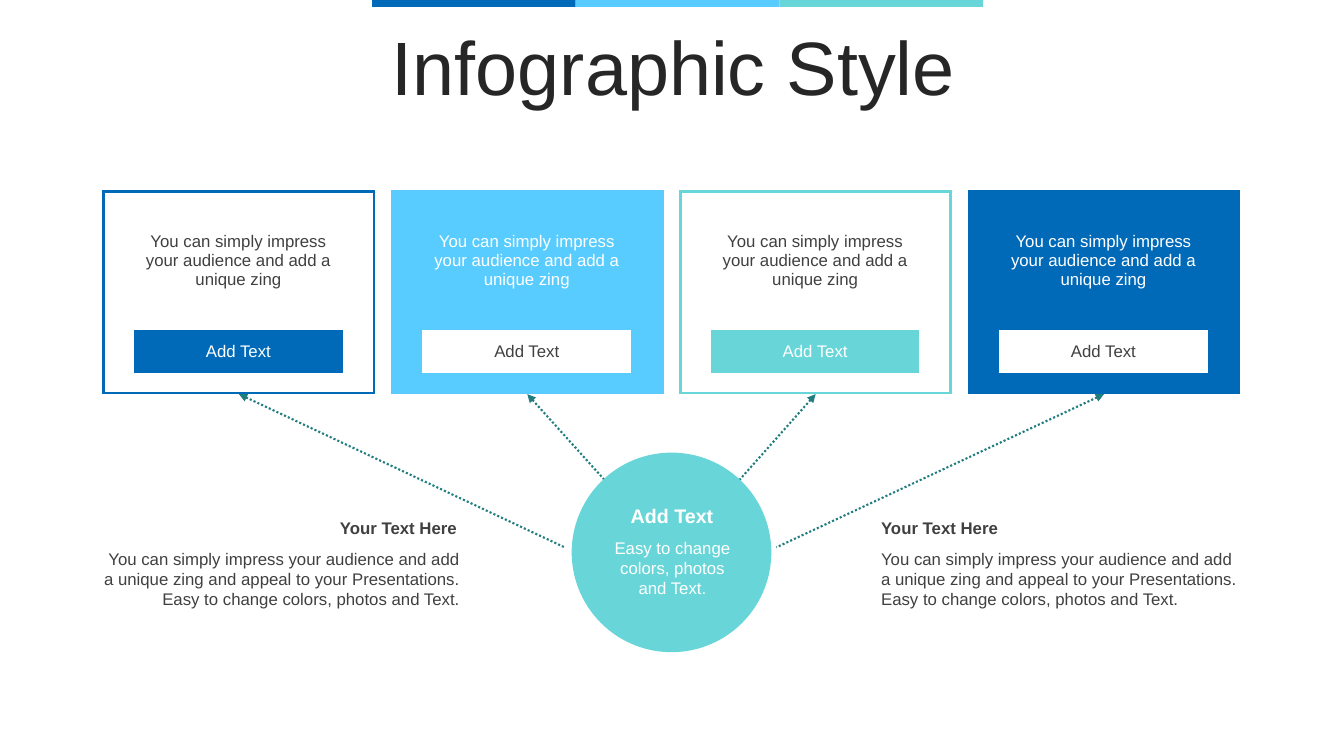
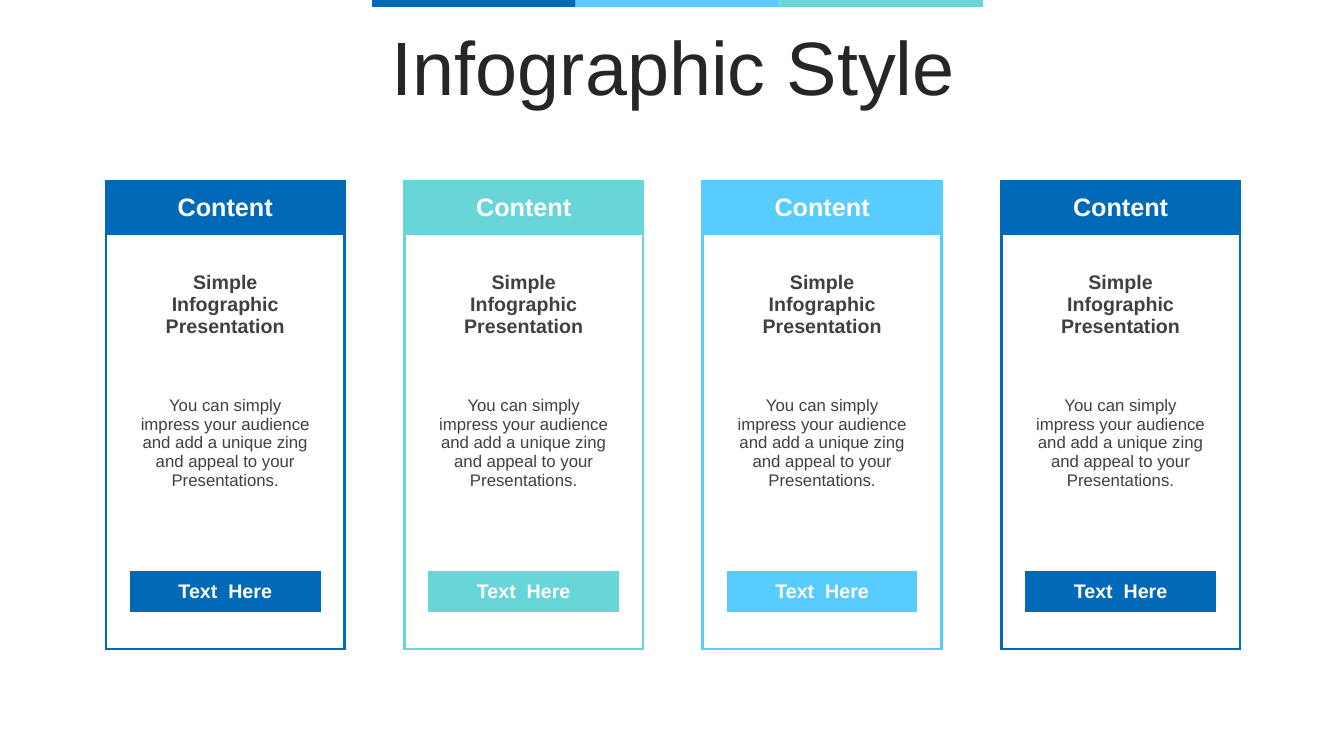
"""Build two infographic slides made of card tables."""
from dataclasses import dataclass

from lxml import etree
from pptx import Presentation
from pptx.dml.color import RGBColor
from pptx.enum.dml import MSO_LINE
from pptx.enum.shapes import MSO_CONNECTOR, MSO_SHAPE
from pptx.enum.text import MSO_ANCHOR, PP_ALIGN
from pptx.oxml.ns import qn
from pptx.util import Inches, Pt

LEFT, CENTER, RIGHT = PP_ALIGN.LEFT, PP_ALIGN.CENTER, PP_ALIGN.RIGHT
TOP, MIDDLE = MSO_ANCHOR.TOP, MSO_ANCHOR.MIDDLE
RECTANGLE, OVAL = MSO_SHAPE.RECTANGLE, MSO_SHAPE.OVAL
STRAIGHT = MSO_CONNECTOR.STRAIGHT
DOTTED = MSO_LINE.ROUND_DOT
NO_TABLE_STYLE = "{2D5ABB26-0587-4C30-8999-92F81FD0307C}"


@dataclass(frozen=True)
class Theme:
    """Colours, font and type sizes shared by the slides."""

    blue: str = "006AB8"
    sky: str = "58CCFE"
    teal: str = "68D6D8"
    deep_teal: str = "217D7F"
    white: str = "FFFFFF"
    ink: str = "262626"
    gray: str = "404040"
    font: str = "Arial"
    title: int = 54
    header: int = 18
    subhead: int = 14
    body: int = 12
    border: float = 2.25
    arrow: float = 1.5


THEME = Theme()


@dataclass
class CardRow:
    """One row of a card: a middle cell between two side cells."""

    height: float
    fill: str
    side_fill: str
    text: str = ""
    size: int = THEME.body
    color: str = THEME.gray
    bold: bool = False
    span: int = 1
    margin_top: float = 0.05


def write_text(frame, text, size=THEME.body, color=THEME.gray, bold=False,
               align=LEFT, line_spacing=None):
    """Write one formatted paragraph into a text frame."""
    paragraph = frame.paragraphs[0]
    paragraph.alignment = align
    paragraph.line_spacing = line_spacing
    run = paragraph.add_run()
    run.text = text
    run.font.name = THEME.font
    run.font.size = Pt(size)
    run.font.bold = bold
    run.font.color.rgb = RGBColor.from_string(color)


def add_text(slide, left, top, width, height, text, anchor=TOP, **text_format):
    """Add a wrapping text box."""
    box = slide.shapes.add_textbox(
        Inches(left), Inches(top), Inches(width), Inches(height))
    box.text_frame.word_wrap = True
    box.text_frame.vertical_anchor = anchor
    write_text(box.text_frame, text, **text_format)


def add_filled_shape(slide, kind, left, top, width, height, color):
    """Add a plain shape without outline or shadow."""
    shape = slide.shapes.add_shape(
        kind, Inches(left), Inches(top), Inches(width), Inches(height))
    shape.shadow.inherit = False
    shape.fill.solid()
    shape.fill.fore_color.rgb = RGBColor.from_string(color)
    shape.line.fill.background()


def add_dotted_arrow(slide, tip, end):
    """Add a dotted line with its arrowhead at the tip."""
    connector = slide.shapes.add_connector(
        STRAIGHT, *(Inches(value) for value in (*tip, *end)))
    connector.line.color.rgb = RGBColor.from_string(THEME.deep_teal)
    connector.line.width = Pt(THEME.arrow)
    connector.line.dash_style = DOTTED
    properties = connector._element.spPr
    etree.SubElement(properties.find(qn("a:ln")), qn("a:headEnd"), type="triangle")
    etree.SubElement(properties, qn("a:effectLst"))


def add_border(cell, side, color):
    """Draw one side of a cell."""
    properties = cell._tc.get_or_add_tcPr()
    line = etree.SubElement(
        properties, qn(f"a:ln{side}"), w=str(Pt(THEME.border)))
    fill = etree.SubElement(line, qn("a:solidFill"))
    etree.SubElement(fill, qn("a:srgbClr"), val=color)


def format_cell(cell, fill, edge_color, sides):
    """Set the outer borders, fill and anchor of a cell."""
    for side in sides:
        add_border(cell, side, edge_color)
    cell.fill.solid()
    cell.fill.fore_color.rgb = RGBColor.from_string(fill)
    cell.vertical_anchor = MIDDLE


def add_card(slide, left, top, widths, rows, edge_color):
    """Add a bordered three-column table as a card."""
    frame = slide.shapes.add_table(
        len(rows), len(widths), Inches(left), Inches(top),
        Inches(sum(widths)), Inches(sum(row.height for row in rows)))
    table = frame.table
    table.first_row = table.horz_banding = False
    next(frame._element.iter(qn("a:tableStyleId"))).text = NO_TABLE_STYLE
    for column, width in zip(table.columns, widths):
        column.width = Inches(width)
    for row_index, row in enumerate(rows):
        table.rows[row_index].height = Inches(row.height)
        vertical = ("T" if row_index == 0 else
                    "B" if row_index == len(rows) - 1 else "")
        for column_index, horizontal in enumerate(("L", "", "R")):
            cell = table.cell(row_index, column_index)
            is_middle = column_index == 1
            format_cell(cell, row.fill if is_middle else row.side_fill,
                        edge_color, horizontal + vertical)
            if is_middle and row.text:
                cell.margin_top = Inches(row.margin_top)
                write_text(cell.text_frame, row.text, size=row.size,
                           color=row.color, bold=row.bold, align=CENTER)
            else:
                paragraph = cell.text_frame.paragraphs[0]
                etree.SubElement(paragraph._p, qn("a:endParaRPr"), sz="100")
        if row.span > 1:
            table.cell(row_index, 1).merge(
                table.cell(row_index + row.span - 1, 1))


def add_base_slide(presentation):
    """Add a slide with the shared title and colour band."""
    slide = presentation.slides.add_slide(presentation.slide_layouts[6])
    add_text(slide, 0.35, 0.31, 12.66, 0.79, "Infographic Style", anchor=MIDDLE,
             size=THEME.title, color=THEME.ink, align=CENTER, line_spacing=0.9)
    for index, color in enumerate((THEME.blue, THEME.sky, THEME.teal)):
        add_filled_shape(slide, RECTANGLE, 3.69 + 2.02 * index, 0, 2.02, 0.07, color)
    return slide


def button_card_rows(color, solid):
    """Return the rows of a card with a message and a button."""
    back, button = (color, THEME.white) if solid else (THEME.white, color)
    text_color, button_text = (
        (THEME.white, THEME.gray) if solid else (THEME.gray, THEME.white))
    spacer = CardRow(0.2, back, back)
    return [
        spacer,
        CardRow(0.97, back, back, color=text_color,
                text="You can simply impress your audience and add a unique zing"),
        spacer,
        CardRow(0.43, button, back, "Add Text", color=button_text),
        spacer,
    ]


def content_card_rows(color):
    """Return the rows of a tall card with a header and a button."""
    white = THEME.white
    return [
        CardRow(0.53, color, color, "Content", THEME.header, white, True),
        CardRow(1.16, white, white, "Simple Infographic Presentation",
                THEME.subhead, bold=True, margin_top=0.27),
        CardRow(0.84, white, white, span=2,
                text="You can simply impress your audience and add a unique "
                     "zing and appeal to your Presentations."),
        CardRow(0.97, white, white),
        CardRow(0.37, white, white),
        CardRow(0.4, color, white, "Text  Here", THEME.subhead, white, True),
        CardRow(0.37, white, white),
    ]


def add_side_note(slide, left, heading_width, text_width, align):
    """Add a bold heading above a short paragraph."""
    add_text(slide, left, 5.39, text_width, 0.71,
             "You can simply impress your audience and add a unique zing and "
             "appeal to your Presentations. Easy to change colors, photos and Text.",
             align=align)
    add_text(slide, left, 5.09, heading_width, 0.3, "Your Text Here",
             bold=True, align=align)


def build_hub_slide(presentation):
    """Build the slide with four cards fed by a central circle."""
    slide = add_base_slide(presentation)
    card_lefts = [1.03 + 2.86 * index for index in range(4)]
    hub_center = (6.67, 5.51)
    arrow_ends = ((5.6, 5.43), hub_center, hub_center, (7.7, 5.43))
    for left, end in zip(card_lefts, arrow_ends):
        add_dotted_arrow(slide, (left + 1.34, 3.91), end)
    add_side_note(slide, 8.64, 3.75, 3.78, LEFT)
    add_side_note(slide, 0.91, 3.72, 3.75, RIGHT)
    add_filled_shape(slide, OVAL, 5.67, 4.49, 1.98, 1.98, THEME.teal)
    add_text(slide, 5.95, 5.21, 1.44, 0.84, "Easy to change colors, photos and Text.",
             anchor=MIDDLE, color=THEME.white, align=CENTER)
    add_text(slide, 5.94, 4.95, 1.45, 0.33, "Add Text", anchor=MIDDLE,
             size=THEME.subhead, color=THEME.white, bold=True, align=CENTER)
    styles = ((THEME.blue, False), (THEME.sky, True),
              (THEME.teal, False), (THEME.blue, True))
    for left, (color, solid) in zip(card_lefts, styles):
        add_card(slide, left, 1.9, (0.3, 2.07, 0.31),
                 button_card_rows(color, solid), color)


def build_content_slide(presentation):
    """Build the slide with four tall content cards."""
    slide = add_base_slide(presentation)
    colors = (THEME.blue, THEME.teal, THEME.sky, THEME.blue)
    for index, color in enumerate(colors):
        add_card(slide, 1.05 + 2.96 * index, 1.8, (0.23, 1.89, 0.23),
                 content_card_rows(color), color)


def main():
    """Build and save the presentation."""
    presentation = Presentation()
    presentation.slide_width = Inches(13.33)
    presentation.slide_height = Inches(7.5)
    build_hub_slide(presentation)
    build_content_slide(presentation)
    presentation.save("out.pptx")


if __name__ == "__main__":
    main()
